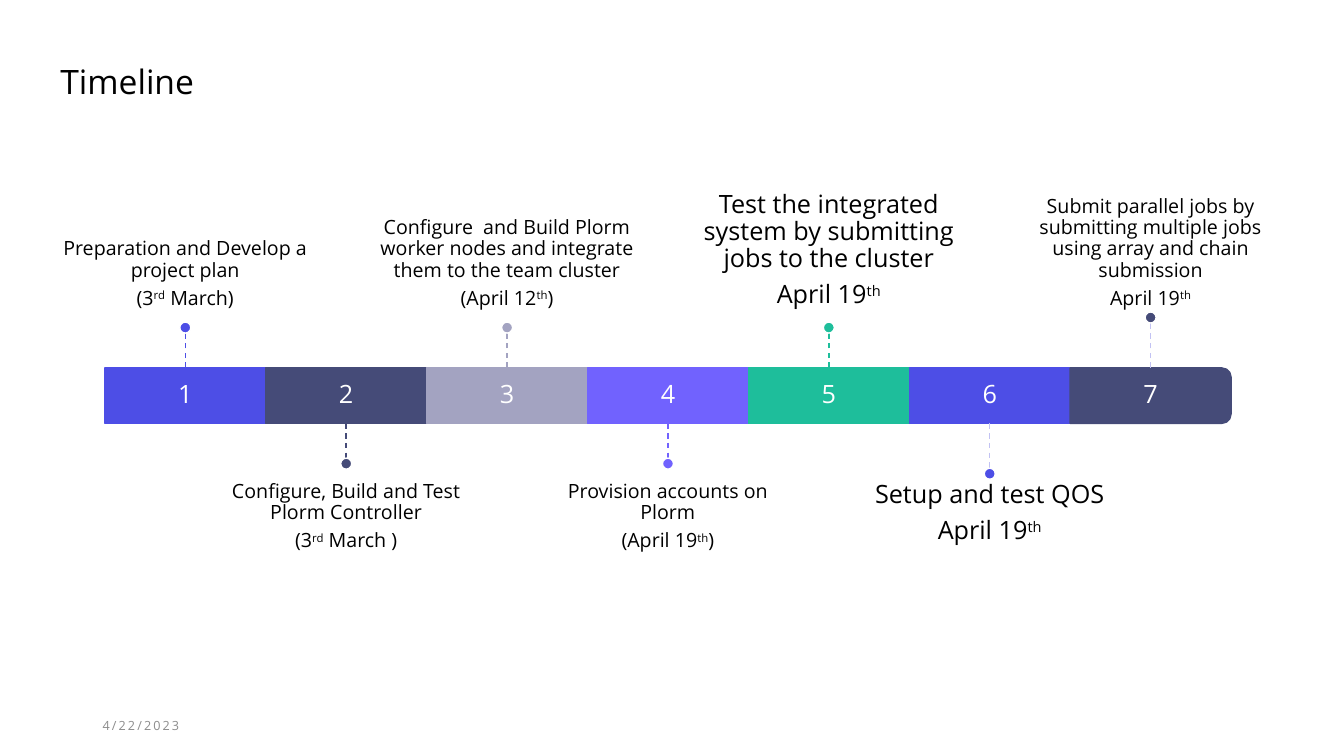
from pptx import Presentation
from pptx.dml.color import RGBColor
from pptx.enum.dml import MSO_LINE
from pptx.enum.shapes import MSO_CONNECTOR, MSO_SHAPE
from pptx.enum.text import MSO_ANCHOR as Anchor, PP_ALIGN as Align
from pptx.oxml.ns import qn
from pptx.util import Inches, Pt
from lxml.etree import SubElement

FONT = "Open Sans"
BLACK, WHITE = RGBColor(0, 0, 0), RGBColor(255, 255, 255)
GREY = RGBColor(0x8C, 0x8C, 0x8C)
BLUE = RGBColor(0x4D, 0x4E, 0xE6)
NAVY = RGBColor(0x45, 0x4B, 0x78)
LILAC = RGBColor(0xA3, 0xA3, 0xC1)
VIOLET = RGBColor(0x71, 0x62, 0xFE)
GREEN = RGBColor(0x1E, 0xBE, 0x9B)
PALE = RGBColor(0xC2, 0xC2, 0xF3)

# Timeline measures, in inches
BAR = (1.04, 3.65, 11.17, 0.55)
STEM, DOT = 0.45, 0.11
LABEL_WIDTH, LABEL_HEIGHT, LABEL_GAP = 2.66, 1.94, 0.55

# Step, date as (before, superscript, after), text size, colour, stem colour, dot distance
MILESTONES = [
    ("Preparation and Develop a project plan",
     ("(3", "rd", " March)"), 14, BLUE, BLUE, 0.4),
    ("Configure, Build and Test Plorm Controller",
     ("(3", "rd", " March )"), 14, NAVY, NAVY, 0.4),
    ("Configure  and Build Plorm worker nodes and integrate them to the team cluster",
     ("(April 12", "th", ")"), 14, LILAC, LILAC, 0.4),
    ("Provision accounts on Plorm",
     ("(April 19", "th", ")"), 14, VIOLET, VIOLET, 0.4),
    ("Test the integrated system by submitting jobs to the cluster",
     ("April 19", "th", ""), 18, GREEN, GREEN, 0.4),
    ("Setup and test QOS",
     ("April 19", "th", ""), 18, BLUE, PALE, 0.5),
    ("Submit parallel jobs by submitting multiple jobs using array and chain submission",
     ("April 19", "th", ""), 14, NAVY, PALE, 0.5),
]


def inches(*lengths):
    return [Inches(length) for length in lengths]


def style_paragraph(paragraph, size, color, align, line_spacing=0.9, after=0.0):
    paragraph.alignment = align
    paragraph.line_spacing = line_spacing
    paragraph.space_after = Pt(after * size)
    for run in paragraph.runs:
        run.font.name, run.font.size = FONT, Pt(size)
        run.font.color.rgb = color


def add_text(slide, box, text, size, color=BLACK, align=Align.LEFT,
             anchor=Anchor.TOP, insets=(0.1, 0.05), **spacing):
    frame = slide.shapes.add_textbox(*inches(*box)).text_frame
    frame.word_wrap = True
    frame.vertical_anchor = anchor
    frame.margin_left = frame.margin_right = Inches(insets[0])
    frame.margin_top = frame.margin_bottom = Inches(insets[1])
    frame.text = text
    style_paragraph(frame.paragraphs[0], size, color, align, **spacing)
    return frame


def add_filled(slide, kind, box, fill, outline):
    shape = slide.shapes.add_shape(kind, *inches(*box))
    shape.shadow.inherit = False
    shape.fill.solid()
    shape.fill.fore_color.rgb = fill
    shape.line.color.rgb = outline
    shape.line.width = Pt(1)
    return shape


def add_segment(slide, box, number, color, is_last):
    """One numbered part of the bar; the last has rounded right corners."""
    left, top, width, height = box
    if is_last:
        # Upright shape with the same centre, turned onto its side
        upright = (left + (width - height) / 2, top - (width - height) / 2, height, width)
        segment = add_filled(slide, MSO_SHAPE.ROUND_2_SAME_RECTANGLE, upright, color, color)
        segment.rotation = 90
    else:
        add_filled(slide, MSO_SHAPE.RECTANGLE, box, color, color)
    add_text(slide, box, str(number), 18, WHITE, Align.CENTER, Anchor.MIDDLE,
             (0.03, 0), after=0.35)


def add_marker(slide, x, edge, direction, color, stem_color, distance):
    """Dashed stem from the bar's edge, and a dot near its tip."""
    stem = slide.shapes.add_connector(
        MSO_CONNECTOR.STRAIGHT, *inches(x, edge, x, edge + direction * STEM))
    stem.line.color.rgb = stem_color
    stem.line.width = Pt(1)
    stem.line.dash_style = MSO_LINE.DASH
    SubElement(stem._element.spPr, qn("a:effectLst"))
    dot_y = edge + direction * distance
    add_filled(slide, MSO_SHAPE.OVAL, (x - DOT / 2, dot_y - DOT / 2, DOT, DOT), color, WHITE)


def add_label(slide, x, edge, above, step, date, size):
    """Step and date, growing away from the bar."""
    top = edge - LABEL_GAP - LABEL_HEIGHT if above else edge + LABEL_GAP
    box = (x - LABEL_WIDTH / 2, top, LABEL_WIDTH, LABEL_HEIGHT)
    frame = add_text(slide, box, step, size, align=Align.CENTER,
                     anchor=Anchor.BOTTOM if above else Anchor.TOP,
                     insets=(0.05, 0.03), after=0.35)
    date_line = frame.add_paragraph()
    for part in filter(None, date):
        date_line.add_run().text = part
    style_paragraph(date_line, size, BLACK, Align.CENTER, after=0.35)
    date_line.runs[1].font._element.set("baseline", "30000")


def add_timeline(slide, box):
    left, top, width, height = box
    step_width = width / len(MILESTONES)
    for index, (step, date, size, color, stem_color, distance) in enumerate(MILESTONES):
        segment_left = left + index * step_width
        center = segment_left + step_width / 2
        above = index % 2 == 0
        edge = top if above else top + height
        add_segment(slide, (segment_left, top, step_width, height), index + 1, color,
                    index == len(MILESTONES) - 1)
        add_label(slide, center, edge, above, step, date, size)
        add_marker(slide, center, edge, -1 if above else 1, color, stem_color, distance)


def add_date(slide, box):
    frame = add_text(slide, box, "4/22/2023", 9, GREY, anchor=Anchor.MIDDLE, line_spacing=1.0)
    frame.paragraphs[0].runs[0].font._element.set("spc", "150")


def main():
    deck = Presentation()
    deck.slide_width, deck.slide_height = inches(13.33, 7.5)
    slide = deck.slides.add_slide(deck.slide_layouts[6])
    add_text(slide, (0.5, 0.6, 12.29, 0.91), "Timeline", 24)
    add_timeline(slide, BAR)
    add_date(slide, (0.92, 7, 3, 0.4))
    deck.save("out.pptx")


if __name__ == "__main__":
    main()
